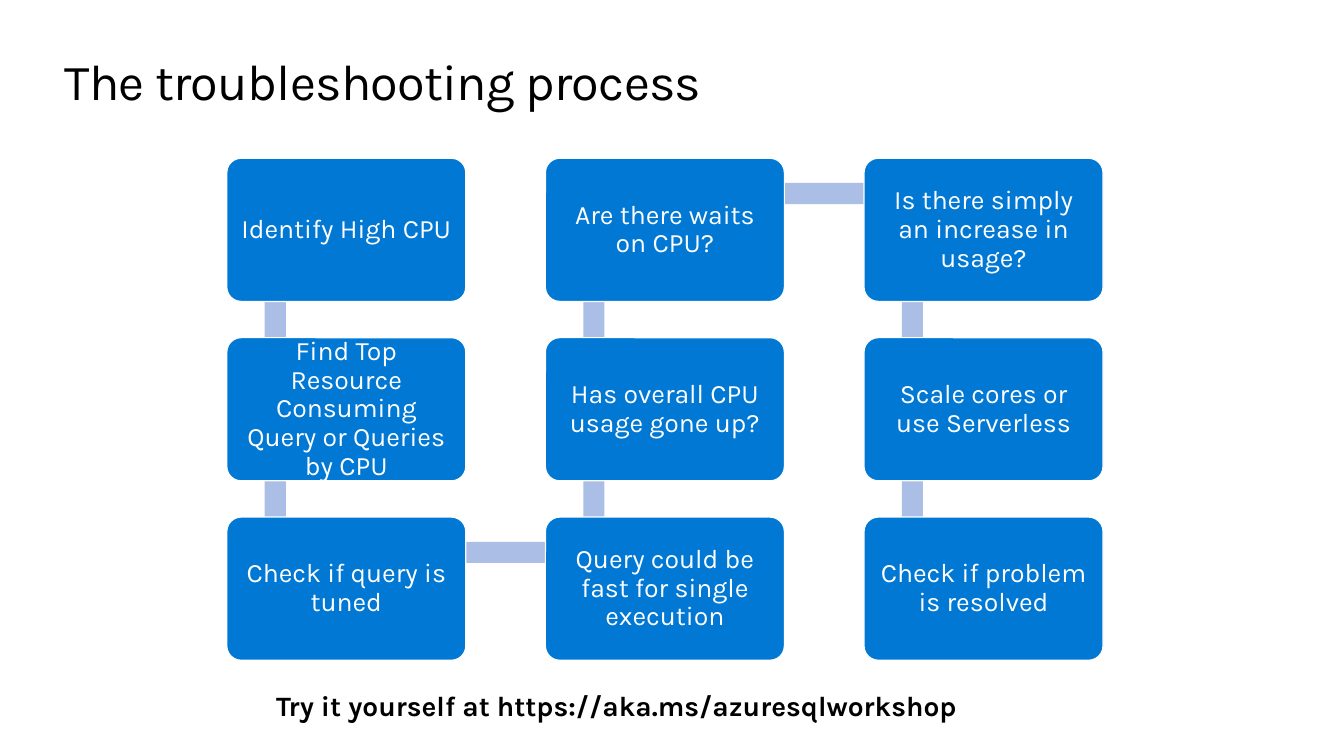
"""Build the troubleshooting process slide as a three-column serpentine flow."""

from dataclasses import dataclass
from itertools import pairwise

from pptx import Presentation
from pptx.dml.color import RGBColor
from pptx.enum.shapes import MSO_SHAPE
from pptx.enum.text import MSO_ANCHOR, MSO_AUTO_SIZE, PP_ALIGN
from pptx.shapes.autoshape import Shape
from pptx.slide import Slide
from pptx.util import Inches, Pt

RECTANGLE = MSO_SHAPE.RECTANGLE
ROUNDED = MSO_SHAPE.ROUNDED_RECTANGLE
MIDDLE, TOP = MSO_ANCHOR.MIDDLE, MSO_ANCHOR.TOP
CENTER, LEFT = PP_ALIGN.CENTER, PP_ALIGN.LEFT
NO_AUTOFIT, GROW = MSO_AUTO_SIZE.NONE, MSO_AUTO_SIZE.SHAPE_TO_FIT_TEXT


@dataclass(frozen=True)
class Theme:
    font: str = "Karla"
    ink: str = "000000"
    paper: str = "FFFFFF"
    box: str = "0078D4"
    link: str = "ABBEE6"
    title_size: float = 36
    step_size: float = 19
    footer_size: float = 20
    outline: float = 0.85
    title_spacing: float = -0.5


@dataclass(frozen=True)
class Grid:
    left: float = 2.25
    top: float = 1.57
    column_pitch: float = 3.16
    row_pitch: float = 1.78
    box_width: float = 2.37
    box_height: float = 1.42
    anchor_x: float = 0.48
    anchor_y: float = 0.35
    link_width: float = 0.21


@dataclass(frozen=True)
class Step:
    column: int
    row: int
    text: str

    @property
    def left(self) -> float:
        return GRID.left + self.column * GRID.column_pitch

    @property
    def top(self) -> float:
        return GRID.top + self.row * GRID.row_pitch


@dataclass(frozen=True)
class Label:
    left: float
    top: float
    width: float
    height: float
    text: str
    size: float
    bold: bool = False
    wrap: bool = True
    spacing: float = 0


THEME = Theme()
GRID = Grid()
STEPS = [
    Step(0, 0, "Identify High CPU"),
    Step(0, 1, "Find Top Resource Consuming Query or Queries by CPU"),
    Step(0, 2, "Check if query is tuned"),
    Step(1, 2, "Query could be fast for single execution"),
    Step(1, 1, "Has overall CPU usage gone up?"),
    Step(1, 0, "Are there waits on CPU?"),
    Step(2, 0, "Is there simply an increase in usage?"),
    Step(2, 1, "Scale cores or use Serverless"),
    Step(2, 2, "Check if problem is resolved"),
]
LABELS = [
    Label(0.64, 0.5, 12.05, 0.61, "The troubleshooting process",
          THEME.title_size, spacing=THEME.title_spacing),
    Label(2.74, 6.83, 6.83, 0.34, "Try it yourself at https://aka.ms/azuresqlworkshop",
          THEME.footer_size, bold=True, wrap=False),
]


def apply(target: object, values: dict[str, object]) -> None:
    for name, value in values.items():
        setattr(target, name, value)


def write(shape: Shape, text: str, inset: float, color: str,
          frame_format: dict[str, object], paragraph_format: dict[str, object],
          font_format: dict[str, object], spacing: float = 0) -> None:
    frame = shape.text_frame
    margins = {f"margin_{side}": Inches(inset) for side in ("left", "top", "right", "bottom")}
    apply(frame, margins | frame_format)
    paragraph = frame.paragraphs[0]
    apply(paragraph, paragraph_format)
    run = paragraph.add_run()
    run.text = text
    apply(run.font, {"name": THEME.font} | font_format)
    run.font.color.rgb = RGBColor.from_string(color)
    if spacing:
        run._r.get_or_add_rPr().set("spc", str(round(spacing * 100)))


def add_block(slide: Slide, kind: MSO_SHAPE, left: float, top: float,
              width: float, height: float, color: str) -> Shape:
    shape = slide.shapes.add_shape(
        kind, Inches(left), Inches(top), Inches(width), Inches(height))
    shape.shadow.inherit = False
    shape.fill.solid()
    shape.fill.fore_color.rgb = RGBColor.from_string(color)
    shape.line.fill.background()
    return shape


def add_link(slide: Slide, start: Step, end: Step) -> None:
    half = GRID.link_width / 2
    left = min(start.left, end.left) + GRID.anchor_x
    top = min(start.top, end.top) + GRID.anchor_y
    if start.column == end.column:
        add_block(slide, RECTANGLE, left - half, top,
                  GRID.link_width, GRID.row_pitch, THEME.link)
    else:
        add_block(slide, RECTANGLE, left, top - half,
                  GRID.column_pitch, GRID.link_width, THEME.link)


def add_step(slide: Slide, step: Step) -> None:
    shape = add_block(slide, ROUNDED, step.left, step.top,
                      GRID.box_width, GRID.box_height, THEME.box)
    shape.adjustments[0] = 0.1
    shape.line.color.rgb = RGBColor.from_string(THEME.paper)
    shape.line.width = Pt(THEME.outline)
    write(shape, step.text, 0.08, THEME.paper,
          {"word_wrap": True, "vertical_anchor": MIDDLE, "auto_size": NO_AUTOFIT},
          {"alignment": CENTER, "line_spacing": 0.9},
          {"size": Pt(THEME.step_size)})


def add_label(slide: Slide, label: Label) -> None:
    shape = slide.shapes.add_textbox(
        Inches(label.left), Inches(label.top), Inches(label.width), Inches(label.height))
    write(shape, label.text, 0, THEME.ink,
          {"word_wrap": label.wrap, "vertical_anchor": TOP, "auto_size": GROW},
          {"alignment": LEFT},
          {"size": Pt(label.size), "bold": label.bold}, label.spacing)


def main() -> None:
    presentation = Presentation()
    apply(presentation, {"slide_width": Inches(13.33), "slide_height": Inches(7.5)})
    slide = presentation.slides.add_slide(presentation.slide_layouts[6])
    for start, end in pairwise(STEPS):
        add_link(slide, start, end)
    for step in STEPS:
        add_step(slide, step)
    for label in LABELS:
        add_label(slide, label)
    presentation.save("out.pptx")


if __name__ == "__main__":
    main()
